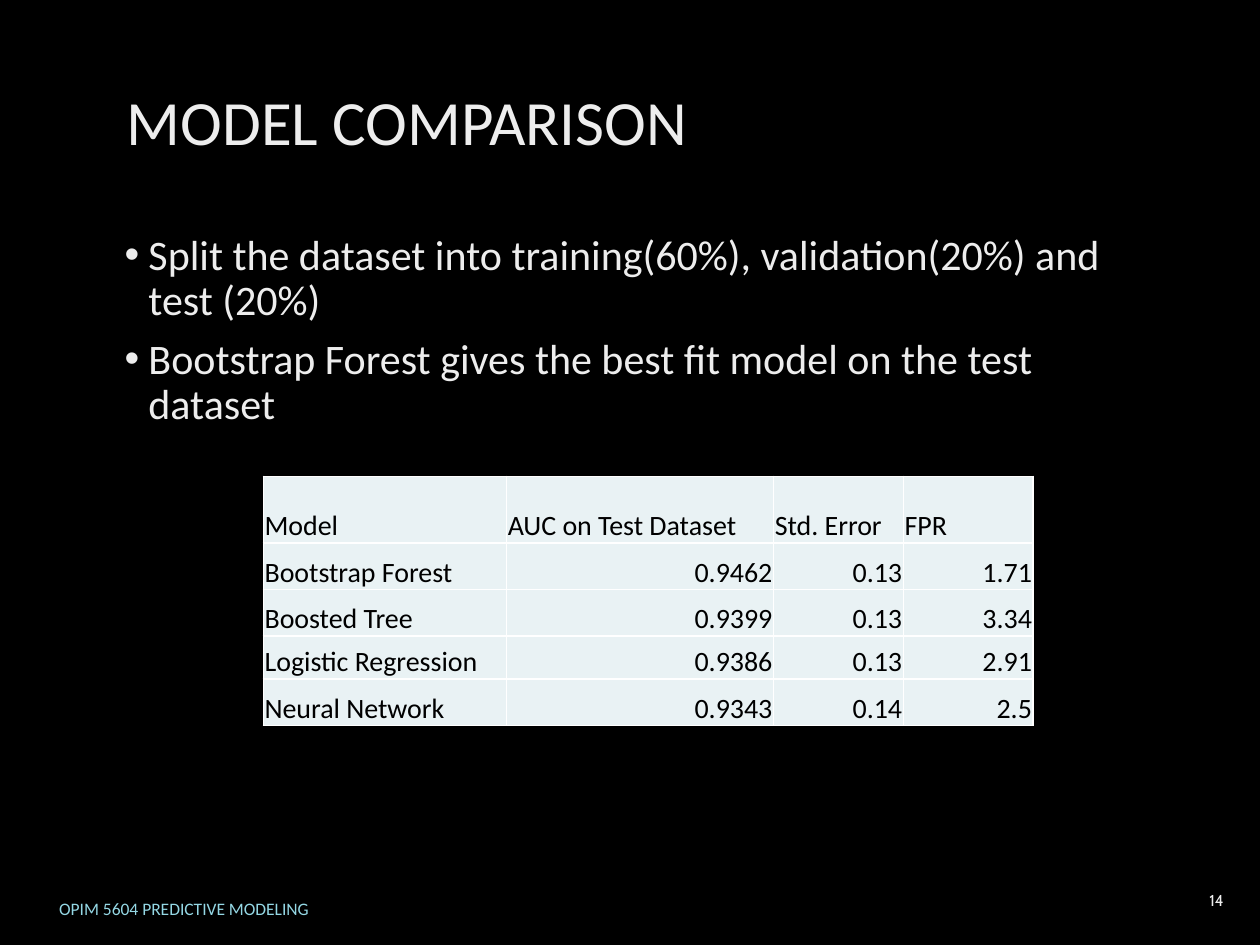
import pptx
import pptx.dml.color
import pptx.enum.text
import pptx.oxml
import pptx.oxml.ns
import pptx.util
from pptx.util import Inches

ALIGN = pptx.enum.text.PP_ALIGN
ANCHOR = pptx.enum.text.MSO_ANCHOR


def color(hex_text):
    return pptx.dml.color.RGBColor.from_string(hex_text)


def add_xml(parent, xml):
    """Append a DrawingML element, given as text with the a: prefix declared here."""
    tag, rest = xml.split(" ", 1)
    namespace = pptx.oxml.ns.nsdecls("a")
    parent.append(pptx.oxml.parse_xml(f"{tag} {namespace} {rest}"))


class SlideBuilder:
    font = "Calibri"
    background = "000000"
    light = "EDEDED"
    accent = "94D7E4"
    cell_fill = "E9F2F4"
    cell_text = "000000"
    border = "FFFFFF"

    def __init__(self, deck):
        self.slide = deck.slides.add_slide(deck.slide_layouts[6])
        fill = self.slide.background.fill
        fill.solid()
        fill.fore_color.rgb = color(self.background)

    def style(self, para, size, hex_text, align, font=None):
        para.alignment = align
        for span in para.runs:
            span.font.name = font or self.font
            span.font.size = pptx.util.Pt(size)
            span.font.color.rgb = color(hex_text)

    def text(self, place, content, size, hex_text=light, align=ALIGN.LEFT,
             anchor=ANCHOR.MIDDLE, font=None):
        box = self.slide.shapes.add_textbox(*map(Inches, place))
        frame = box.text_frame
        frame.word_wrap = True
        frame.vertical_anchor = anchor
        frame.text = content
        for para in frame.paragraphs:
            self.style(para, size, hex_text, align, font)
        return frame

    def bullets(self, place, lines, size):
        frame = self.text(place, "\n".join(lines), size, anchor=ANCHOR.TOP)
        indent = Inches(0.19)
        for para in frame.paragraphs:
            para.line_spacing = 0.9
            para.space_before = pptx.util.Pt(7.5)
            properties = para._p.get_or_add_pPr()
            properties.set("marL", str(indent))
            properties.set("indent", str(-indent))
            add_xml(properties, '<a:buFont typeface="Arial"/>')
            add_xml(properties, '<a:buChar char="•"/>')

    def table(self, left, top, widths, heights, rows, size):
        frame = self.slide.shapes.add_table(
            len(rows), len(widths), Inches(left), Inches(top),
            Inches(sum(widths)), Inches(sum(heights)))
        grid = frame.table
        for column, width in zip(grid.columns, widths):
            column.width = Inches(width)
        for row, height in zip(grid.rows, heights):
            row.height = Inches(height)
        for r, values in enumerate(rows):
            for c, value in enumerate(values):
                align = ALIGN.RIGHT if r and c else ALIGN.LEFT
                self.cell(grid.cell(r, c), value, size, align)

    def cell(self, cell, value, size, align):
        cell.text = value
        cell.vertical_anchor = ANCHOR.BOTTOM
        cell.margin_left = cell.margin_right = cell.margin_top = Inches(0.01)
        cell.margin_bottom = 0
        self.style(cell.text_frame.paragraphs[0], size, self.cell_text, align)
        properties = cell._tc.get_or_add_tcPr()
        for side in ("lnL", "lnR", "lnT", "lnB"):
            add_xml(properties, f'<a:{side} w="{pptx.util.Pt(1)}"><a:solidFill>'
                    f'<a:srgbClr val="{self.border}"/></a:solidFill></a:{side}>')
        cell.fill.solid()
        cell.fill.fore_color.rgb = color(self.cell_fill)


def main():
    deck = pptx.Presentation()
    deck.slide_width = Inches(10)
    deck.slide_height = Inches(7.5)
    page = SlideBuilder(deck)

    title = page.text((0.91, 0.36, 8, 1.26), "MODEL COMPARISON", 36)
    title.paragraphs[0].line_spacing = 0.9
    page.text((8.78, 6.98, 1.03, 0.33), "14", 9, align=ALIGN.RIGHT, font="Cabin")
    page.text((0.28, 7.09, 2.36, 0.24), "OPIM 5604 PREDICTIVE MODELING", 10,
              page.accent, ALIGN.CENTER)
    page.bullets((0.89, 1.81, 8, 3.87), [
        "Split the dataset into training(60%), validation(20%) and test (20%)",
        "Bootstrap Forest gives the best fit model on the test dataset",
    ], 24)
    page.table(2.09, 3.78, [1.93, 2.12, 1.03, 1.03], [0.53, 0.37, 0.37, 0.34, 0.37], [
        ("Model", "AUC on Test Dataset", "Std. Error", "FPR"),
        ("Bootstrap Forest", "0.9462", "0.13", "1.71"),
        ("Boosted Tree", "0.9399", "0.13", "3.34"),
        ("Logistic Regression", "0.9386", "0.13", "2.91"),
        ("Neural Network", "0.9343", "0.14", "2.5"),
    ], 16)
    deck.save("out.pptx")


if __name__ == "__main__":
    main()
